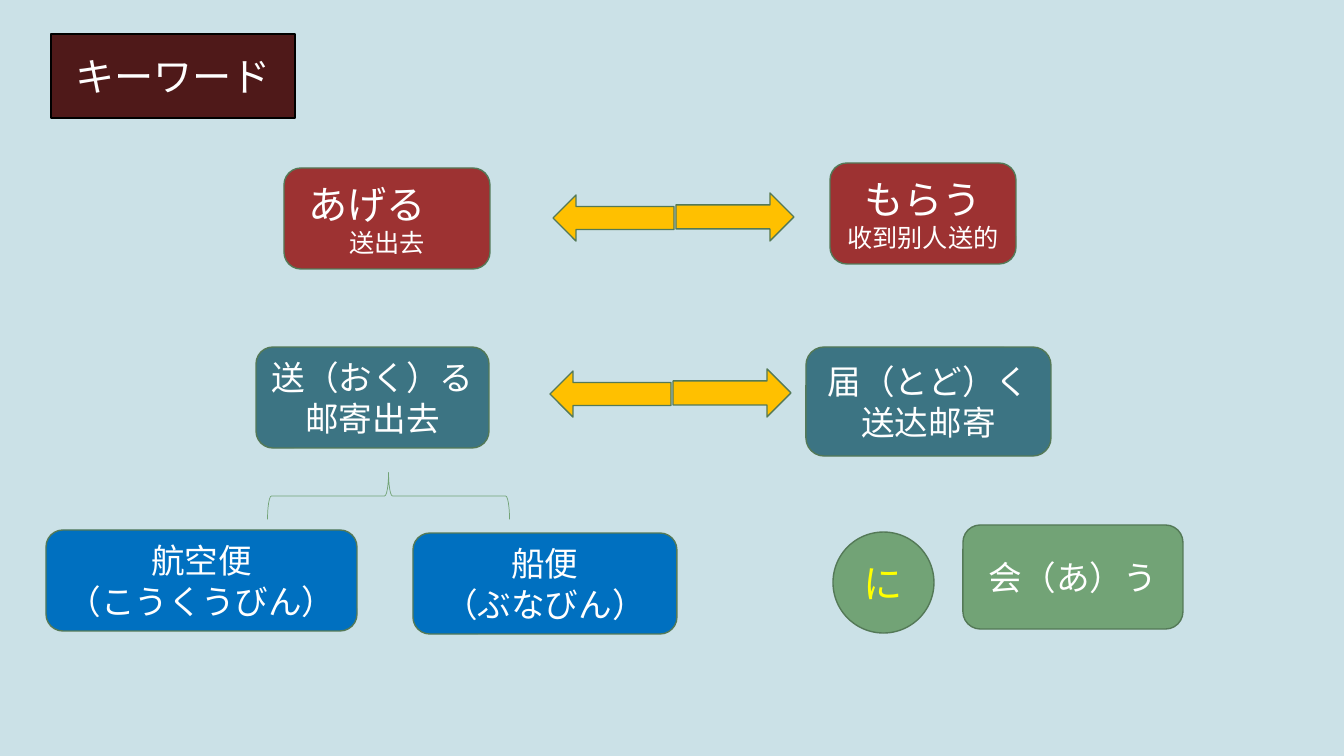
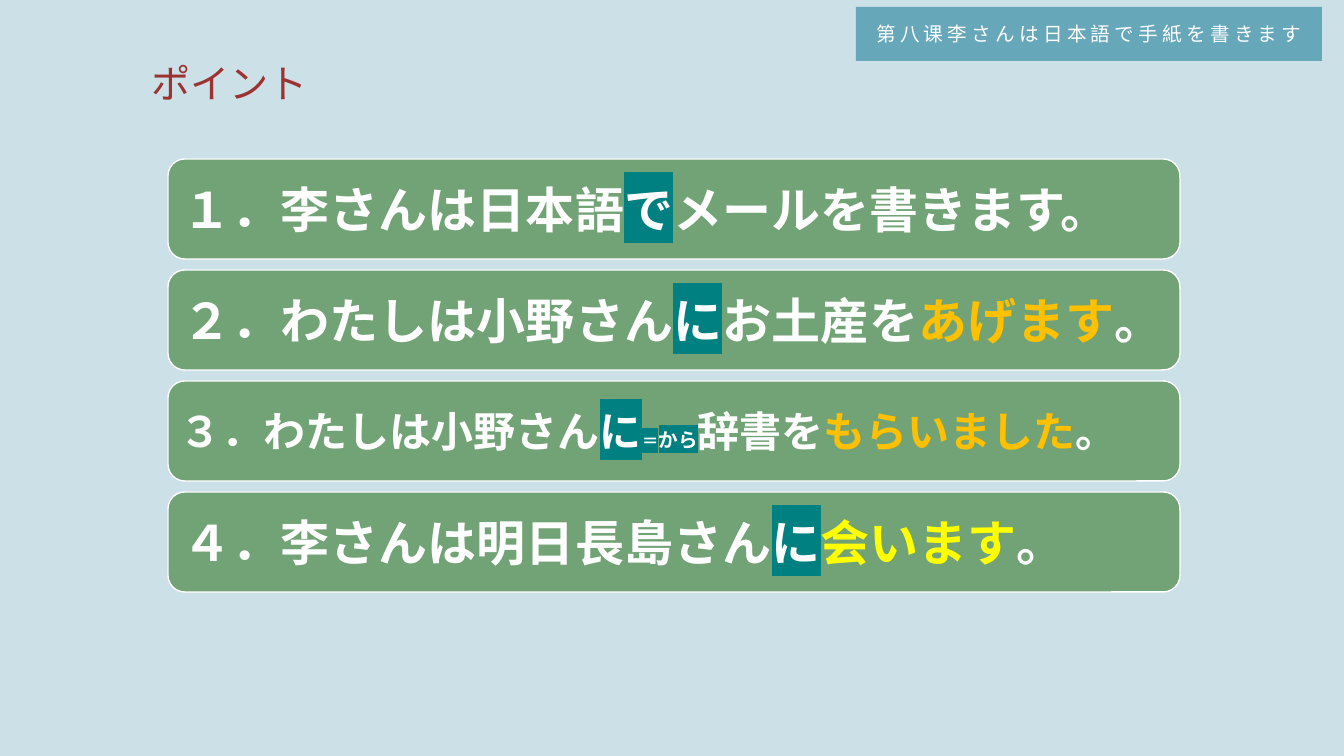
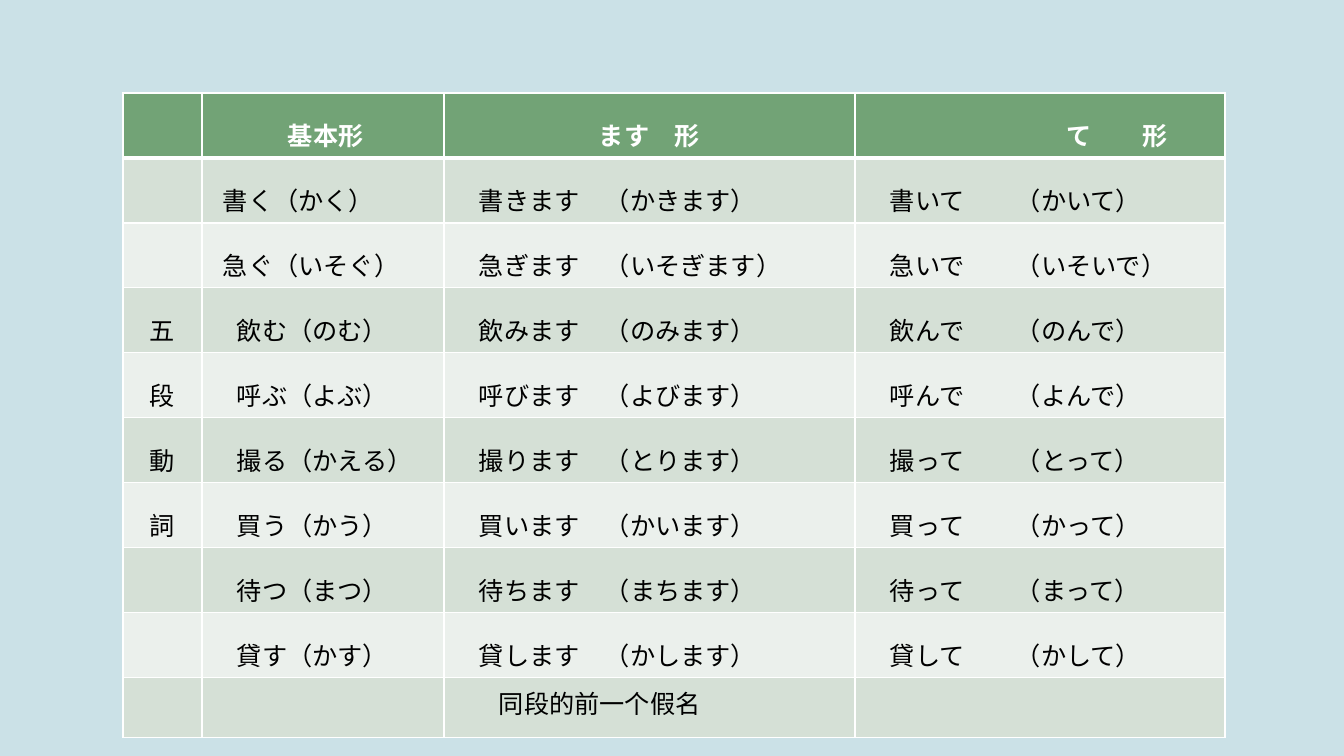
from lxml import etree
from pptx import Presentation
from pptx.dml.color import RGBColor
from pptx.enum.shapes import MSO_SHAPE
from pptx.enum.text import MSO_ANCHOR, MSO_AUTO_SIZE, PP_ALIGN
from pptx.oxml.ns import qn
from pptx.util import Pt

RECTANGLE, ROUNDED = MSO_SHAPE.RECTANGLE, MSO_SHAPE.ROUNDED_RECTANGLE
ELLIPSE, BRACE = MSO_SHAPE.OVAL, MSO_SHAPE.LEFT_BRACE
LEFT_ARROW, RIGHT_ARROW = MSO_SHAPE.LEFT_ARROW, MSO_SHAPE.RIGHT_ARROW
LEFT, CENTER = PP_ALIGN.LEFT, PP_ALIGN.CENTER
TOP, MIDDLE = MSO_ANCHOR.TOP, MSO_ANCHOR.MIDDLE
NO_AUTOFIT = MSO_AUTO_SIZE.NONE
TITLE_ONLY, BLANK = 5, 6

# Shared style
WIDTH, HEIGHT = 1344, 756
EMU_PER_PX = 12192000 / WIDTH
FONT = "Noto Sans CJK SC"
BACKGROUND, WHITE, BLACK = "CBE1E7", "FFFFFF", "000000"
GREEN, DARK_GREEN, TEAL, RED = "72A376", "547957", "3C7483", "9D3232"
MAROON, BLUE, SKY = "4F1919", "0070C0", "66A7B9"
AMBER, YELLOW, MARKER = "FFC000", "FFFF00", "008080"
ROW_FILLS = ["D5E0D6", "EBF0EC"]


def px(length):
    return round(length * EMU_PER_PX)


def rgb(color):
    return RGBColor.from_string(color)


def add_solid_color(parent, tag, color):
    element = etree.SubElement(parent, qn(tag))
    etree.SubElement(element, qn("a:srgbClr"), val=color)


def write_text(frame, paragraphs, size=24, color=WHITE, bold=False, align=CENTER,
               line_spacing=None, tab=None, tracking=None):
    """Each paragraph is a list of runs: a string, or a string with its own format."""
    for index, runs in enumerate(paragraphs):
        paragraph = frame.add_paragraph() if index else frame.paragraphs[0]
        paragraph.alignment = align
        if line_spacing:
            paragraph.line_spacing = line_spacing
        if tab:
            tabs = etree.SubElement(paragraph._p.get_or_add_pPr(), qn("a:tabLst"))
            etree.SubElement(tabs, qn("a:tab"), pos=str(px(tab)), algn="l")
        for item in runs:
            text, own = (item, {}) if isinstance(item, str) else item
            run = paragraph.add_run()
            run.text = text
            font = run.font
            font.size = Pt(own.get("size", size))
            font.bold = bold
            font.color.rgb = rgb(own.get("color", color))
            properties = run._r.get_or_add_rPr()
            if tracking:
                properties.set("spc", str(tracking * 100))
            if "highlight" in own:
                add_solid_color(properties, "a:highlight", own["highlight"])
            font.name = FONT
            etree.SubElement(properties, qn("a:ea"), typeface=FONT)


class Deck:
    def __init__(self):
        self.presentation = Presentation()
        self.presentation.slide_width = px(WIDTH)
        self.presentation.slide_height = px(HEIGHT)
        fill = self.presentation.slide_master.background.fill
        fill.solid()
        fill.fore_color.rgb = rgb(BACKGROUND)
        self.slide = None

    def new_slide(self, layout):
        layouts = self.presentation.slide_layouts
        self.slide = self.presentation.slides.add_slide(layouts[layout])

    def paint(self, shape, fill=None, line=None, line_width=1):
        if fill:
            shape.fill.solid()
            shape.fill.fore_color.rgb = rgb(fill)
        else:
            shape.fill.background()
        if line:
            shape.line.color.rgb = rgb(line)
            shape.line.width = Pt(line_width)
        else:
            shape.line.fill.background()

    def fill_frame(self, shape, paragraphs, anchor=MIDDLE, **text_format):
        frame = shape.text_frame
        frame.word_wrap = True
        frame.auto_size = NO_AUTOFIT
        frame.vertical_anchor = anchor
        write_text(frame, paragraphs, **text_format)

    def title(self, text, box, fill=None, line=None, **text_format):
        shape = self.slide.shapes.title
        shape.left, shape.top, shape.width, shape.height = map(px, box)
        self.paint(shape, fill, line)
        self.fill_frame(shape, [[text]], size=28, **text_format)

    def shape(self, kind, box, fill=None, line=DARK_GREEN, line_width=1,
              paragraphs=None, **text_format):
        shape = self.slide.shapes.add_shape(kind, *map(px, box))
        shape.shadow.inherit = False
        self.paint(shape, fill, line, line_width)
        if paragraphs:
            self.fill_frame(shape, paragraphs, **text_format)
        return shape

    def text_box(self, text, box, **text_format):
        shape = self.slide.shapes.add_textbox(*map(px, box))
        self.fill_frame(shape, [[text]], anchor=TOP, **text_format)

    def table(self, left, top, widths, heights):
        frame = self.slide.shapes.add_table(
            len(heights), len(widths), px(left), px(top),
            px(sum(widths)), px(sum(heights)))
        table = frame.table
        for column, width in zip(table.columns, widths):
            column.width = px(width)
        for row, height in zip(table.rows, heights):
            row.height = px(height)
        return table

    def cell(self, cell, fill, text="", margin=10, borders=(1, 1, 1, 1), **text_format):
        properties = cell._tc.get_or_add_tcPr()
        for side, width in zip("LRTB", borders):
            border = etree.SubElement(properties, qn(f"a:ln{side}"), w=str(Pt(width)))
            add_solid_color(border, "a:solidFill", WHITE)
        cell.fill.solid()
        cell.fill.fore_color.rgb = rgb(fill)
        cell.margin_left = px(margin)
        if text:
            write_text(cell.text_frame, [[text]], size=18, line_spacing=1.5, **text_format)


def keyword_slide(deck):
    deck.new_slide(TITLE_ONLY)
    deck.title("キーワード", (51, 34, 244, 84), fill=MAROON, line=BLACK)

    # Word cards
    small = {"size": 18}
    cards = [
        ((284, 168, 206, 101), RED, 28, [["あげる　", ("送出去", small)]]),
        ((830, 163, 186, 101), RED, 28, [["もらう"], [("收到别人送的", small)]]),
        ((256, 347, 233, 101), TEAL, 24, [["送（おく）る"], ["邮寄出去"]]),
        ((806, 347, 245, 109), TEAL, 24, [["届（とど）く"], ["送达邮寄"]]),
        ((963, 525, 220, 104), GREEN, 24, [["会（あ）う"]]),
        ((46, 530, 311, 101), BLUE, 24, [["航空便"], ["（こうくうびん）"]]),
        ((413, 533, 264, 101), BLUE, 24, [["船便"], ["（ぶなびん）"]]),
    ]
    for box, fill, size, paragraphs in cards:
        deck.shape(ROUNDED, box, fill, paragraphs=paragraphs, size=size)
    deck.shape(ELLIPSE, (833, 532, 101, 101), GREEN, paragraphs=[["に"]],
               size=28, color=YELLOW)

    # Arrows between opposites
    for left, top in [(553, 195), (550, 371)]:
        deck.shape(LEFT_ARROW, (left, top, 121, 46), AMBER)
        deck.shape(RIGHT_ARROW, (left + 123, top - 2, 118, 48), AMBER)

    # Brace over the two kinds of mail
    brace = deck.shape(BRACE, (365, 375, 47, 242), line=GREEN, line_width=0.5)
    brace.rotation = 90


def point_slide(deck):
    deck.new_slide(TITLE_ONLY)
    deck.title("ポイント", (141, 54, 205, 57), color=RED, align=LEFT, anchor=TOP)

    # Example sentences
    marked, amber, yellow = {"highlight": MARKER}, {"color": AMBER}, {"color": YELLOW}
    sentences = [
        (35, ["１．李さんは日本語", ("で", marked), "メールを書きます。"]),
        (35, ["２．わたしは小野さん", ("に", marked), "お土産を",
              ("あげます", amber), "。"]),
        (30, ["３．わたしは小野さん", ("に", marked), ("＝", {"size": 12, **marked}),
              ("から", {"size": 14, **marked}), "辞書を", ("もらいました", amber), "。"]),
        (35, ["４．李さんは明日長島さん", ("に", marked), ("会います", yellow), "。"]),
    ]
    for index, (size, runs) in enumerate(sentences):
        card = deck.shape(ROUNDED, (168, 159 + 111 * index, 1012, 100), GREEN, WHITE,
                          paragraphs=[runs], size=size, bold=True, align=LEFT)
        card.text_frame.margin_left = px(10 if size == 35 else 7)

    # Lesson band
    deck.shape(RECTANGLE, (856, 7, 466, 54), SKY, line=None, size=14, tracking=3,
               paragraphs=[["第八课李さんは日本語で手紙を書きます"]])


def verb_slide(deck):
    deck.new_slide(BLANK)
    table = deck.table(123, 93, [79, 242, 411, 370], [65] * 9 + [60])

    # Header row
    headers = [
        {},
        {"text": "基本形", "margin": 86, "align": LEFT},
        {"text": "ます　形"},
        {"text": "て\t形", "margin": 212, "align": LEFT, "tab": 76},
    ]
    for column, header in enumerate(headers):
        deck.cell(table.cell(0, column), GREEN, borders=(1, 1, 1, 3), bold=True, **header)

    # Verb rows: group letter, base form, then each form with its reading
    verbs = [
        ("", "書く（かく）", "書きます\t（かきます）", "書いて\t（かいて）"),
        ("", "急ぐ（いそぐ）", "急ぎます\t（いそぎます）", "急いで\t（いそいで）"),
        ("五", "飲む（のむ）", "飲みます\t（のみます）", "飲んで\t（のんで）"),
        ("段", "呼ぶ（よぶ）", "呼びます\t（よびます）", "呼んで\t（よんで）"),
        ("動", "撮る（かえる）", "撮ります\t（とります）", "撮って\t（とって）"),
        ("詞", "買う（かう）", "買います\t（かいます）", "買って\t（かって）"),
        ("", "待つ（まつ）", "待ちます\t（まちます）", "待って\t（まって）"),
        ("", "貸す（かす）", "貸します\t（かします）", "貸して\t（かして）"),
        ("", "", "", ""),
    ]
    for row, texts in enumerate(verbs, start=1):
        top_border = 3 if row == 1 else 1
        margins = [10, 21 if row <= 2 else 35, 35, 35]
        for column, (text, margin) in enumerate(zip(texts, margins)):
            deck.cell(table.cell(row, column), ROW_FILLS[(row - 1) % 2], text, margin,
                      borders=(1, 1, top_border, 1), color=BLACK,
                      align=LEFT if column else CENTER, tab=126 if column > 1 else None)

    # Note on the last row
    deck.text_box("同段的前一个假名", (489, 683, 261, 40), size=18, color=BLACK, align=LEFT)


def main():
    deck = Deck()
    keyword_slide(deck)
    point_slide(deck)
    verb_slide(deck)
    deck.presentation.save("out.pptx")


if __name__ == "__main__":
    main()
